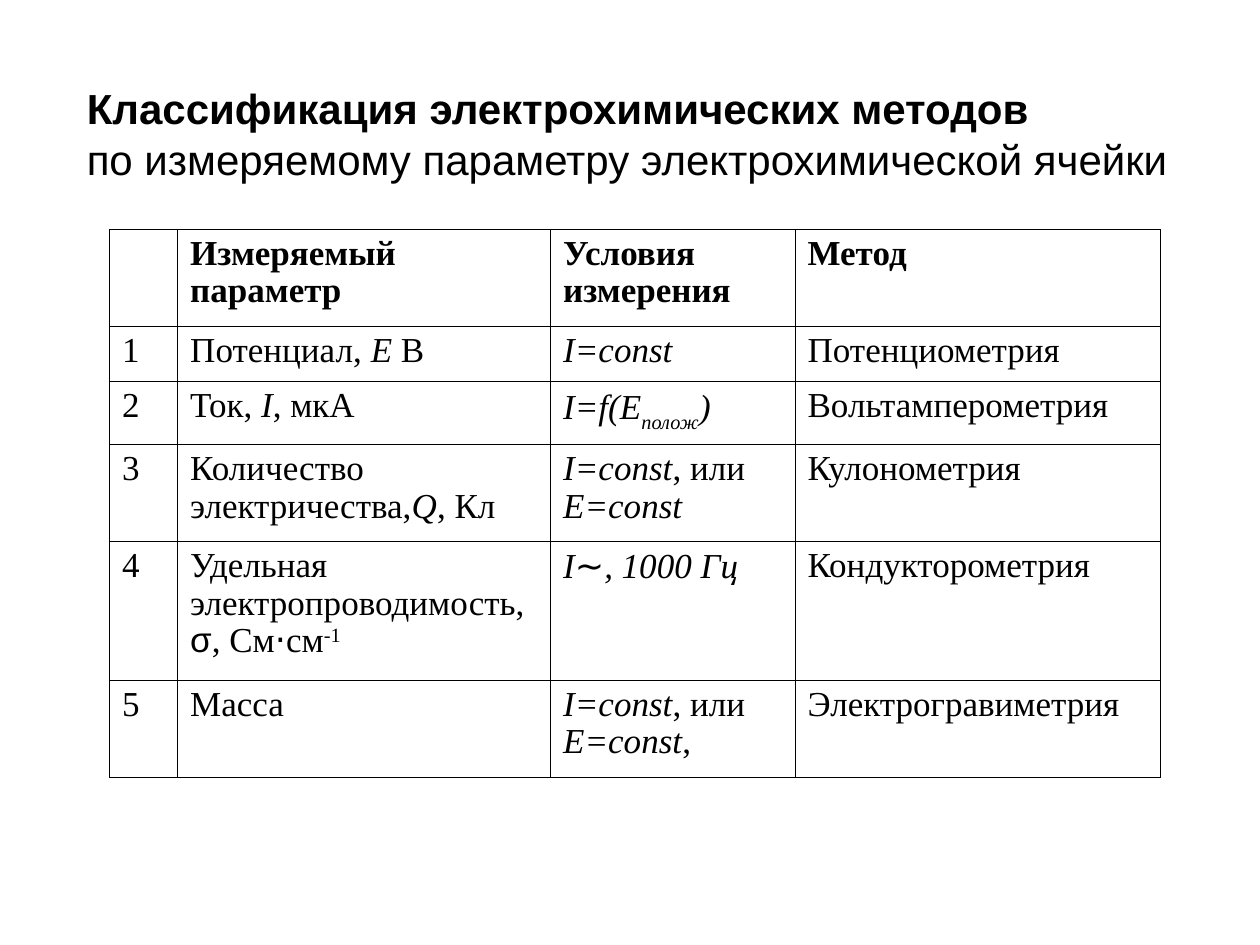
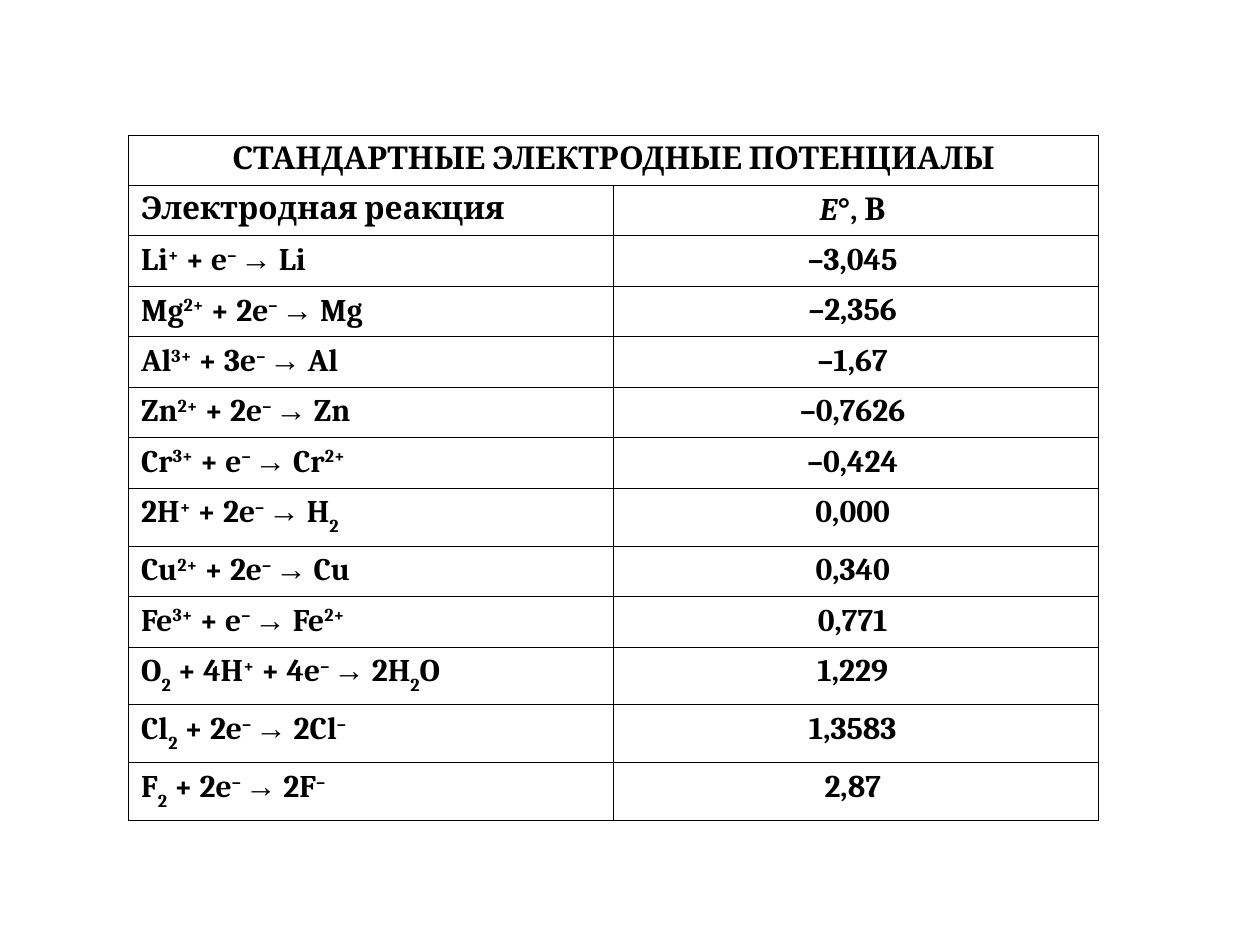
from itertools import groupby

from lxml import etree
from pptx import Presentation
from pptx import util as u
from pptx.dml.color import RGBColor
from pptx.enum import text
from pptx.oxml import ns

BLACK = RGBColor(0x00, 0x00, 0x00)
SLIDE_WIDTH, SLIDE_HEIGHT = u.Inches(10), u.Inches(7.5)
BLANK_LAYOUT = 6
SYMBOL_FONT = "Arial"
SYMBOLS = "σ⋅∼→°"
BASELINES = {"^": 30000, "_": -30000}
LEFT, CENTER = text.PP_ALIGN.LEFT, text.PP_ALIGN.CENTER

METHOD_COLUMNS = [0.54, 2.96, 1.94, 2.9]
METHOD_ROWS = [0.77, 0.44, 0.5, 0.77, 1.1, 0.77]
METHODS = [
    ("", "Измеряемый параметр", "Условия измерения", "Метод"),
    ("1", "Потенциал, *Е* В", "*I=const*", "Потенциометрия"),
    ("2", "Ток, *I*, мкА", "*I=f(E_полож_)*", "Вольтамперометрия"),
    ("3", "Количество электричества,*Q*, Кл", "*I=const*, или\n*E=const*", "Кулонометрия"),
    ("4", "Удельная электропроводимость, σ, См⋅см^-1^", "*I∼, 1000 Гц*", "Кондукторометрия"),
    ("5", "Масса", "*I=const*, или* E=const*,", "Электрогравиметрия"),
]

POTENTIAL_COLUMNS = [3.85, 3.85]
PLAIN_ROW, SUBSCRIPT_ROW = 0.4, 0.46
POTENTIALS = [
    ("СТАНДАРТНЫЕ ЭЛЕКТРОДНЫЕ ПОТЕНЦИАЛЫ", ""),
    ("Электродная реакция", "*E*°, В "),
    ("Li^+^ + e^– ^→ Li", "–3,045 "),
    ("Mg^2+^ + 2e^– ^→ Mg", "–2,356 "),
    ("Al^3+^ + 3e^– ^→ Al", "–1,67 "),
    ("Zn^2+^ + 2e^– ^→ Zn", "–0,7626 "),
    ("Cr^3+^ + e^– ^→ Cr^2+^", "–0,424 "),
    ("2H^+^ + 2e^– ^→ H_2_", "0,000 "),
    ("Cu^2+^ + 2e^– ^→ Cu", "0,340 "),
    ("Fe^3+^ + e^– ^→ Fe^2+^", "0,771 "),
    ("O_2_ + 4H^+^ + 4e^– ^→ 2H_2_O", "1,229 "),
    ("Cl_2_ + 2e^– ^→ 2Cl^–^", "1,3583 "),
    ("F_2_ + 2e^– ^→ 2F^–^", "2,87 "),
]


def styled_characters(markup):
    italic, baseline = False, 0
    for character in markup:
        if character == "*":
            italic = not italic
        elif character in BASELINES:
            baseline = 0 if baseline else BASELINES[character]
        else:
            yield (italic, baseline, character in SYMBOLS), character


def write_paragraph(paragraph, markup, font, size, bold=False, align=LEFT, spacing=None):
    paragraph.alignment = align
    paragraph.line_spacing = spacing
    paragraph.font.name = font
    paragraph.font.size = u.Pt(size)
    paragraph.font.bold = bold
    paragraph.font.color.rgb = BLACK
    for style, pairs in groupby(styled_characters(markup), key=lambda pair: pair[0]):
        italic, baseline, symbol = style
        run = paragraph.add_run()
        run.text = "".join(character for _, character in pairs)
        if italic:
            run.font.italic = True
        if symbol:
            run.font.name = SYMBOL_FONT
        if baseline:
            run.font._element.set("baseline", str(baseline))


def write_lines(frame, markup, **style):
    for index, line in enumerate(markup.split("\n")):
        paragraph = frame.add_paragraph() if index else frame.paragraphs[0]
        write_paragraph(paragraph, line, **style)


def outline_cell(cell, points):
    properties = cell._tc.get_or_add_tcPr()
    for side in ("a:lnL", "a:lnR", "a:lnT", "a:lnB"):
        line = etree.SubElement(properties, ns.qn(side), w=str(u.Pt(points)))
        fill = etree.SubElement(line, ns.qn("a:solidFill"))
        etree.SubElement(fill, ns.qn("a:srgbClr"), val=str(BLACK))
    cell.fill.background()


def add_grid(slide, left, top, columns, rows, border):
    frame = slide.shapes.add_table(
        len(rows), len(columns), u.Inches(left), u.Inches(top),
        u.Inches(sum(columns)), u.Inches(sum(rows)))
    table = frame.table
    table.first_row = table.horz_banding = False
    for column, width in zip(table.columns, columns):
        column.width = u.Inches(width)
    for row, height in zip(table.rows, rows):
        row.height = u.Inches(height)
    for cell in table.iter_cells():
        cell.margin_left = cell.margin_right = u.Inches(0.1)
        cell.margin_top = cell.margin_bottom = u.Inches(0.05)
        outline_cell(cell, border)
    return table


def add_heading(slide, lines):
    box = slide.shapes.add_textbox(u.Inches(0.59), u.Inches(0.6), u.Inches(8.79), u.Inches(0.9))
    box.text_frame.word_wrap = False
    for index, line in enumerate(lines):
        paragraph = box.text_frame.add_paragraph() if index else box.text_frame.paragraphs[0]
        write_paragraph(paragraph, line, "Arial", 24, bold=index == 0, spacing=u.Pt(29.2))


def add_methods_slide(presentation):
    slide = presentation.slides.add_slide(presentation.slide_layouts[BLANK_LAYOUT])
    add_heading(slide, ["Классификация электрохимических методов",
                        "по измеряемому параметру электрохимической ячейки"])
    table = add_grid(slide, 0.87, 1.82, METHOD_COLUMNS, METHOD_ROWS, 0.45)
    for row, method in enumerate(METHODS):
        for column, markup in enumerate(method):
            write_lines(table.cell(row, column).text_frame, markup,
                        font="Times New Roman", size=20, bold=row == 0, spacing=0.96)


def add_potentials_slide(presentation):
    slide = presentation.slides.add_slide(presentation.slide_layouts[BLANK_LAYOUT])
    heights = [SUBSCRIPT_ROW if "_" in reaction else PLAIN_ROW for reaction, _ in POTENTIALS]
    table = add_grid(slide, 1.02, 1.07, POTENTIAL_COLUMNS, heights, 0.34)
    table.cell(0, 0).merge(table.cell(0, 1))
    for row, entry in enumerate(POTENTIALS):
        for column, markup in enumerate(entry):
            align = CENTER if row == 0 or column == 1 else LEFT
            write_lines(table.cell(row, column).text_frame, markup,
                        font="Cambria", size=18, bold=True, align=align)


def main():
    presentation = Presentation()
    presentation.slide_width, presentation.slide_height = SLIDE_WIDTH, SLIDE_HEIGHT
    add_methods_slide(presentation)
    add_potentials_slide(presentation)
    presentation.save("out.pptx")


if __name__ == "__main__":
    main()
